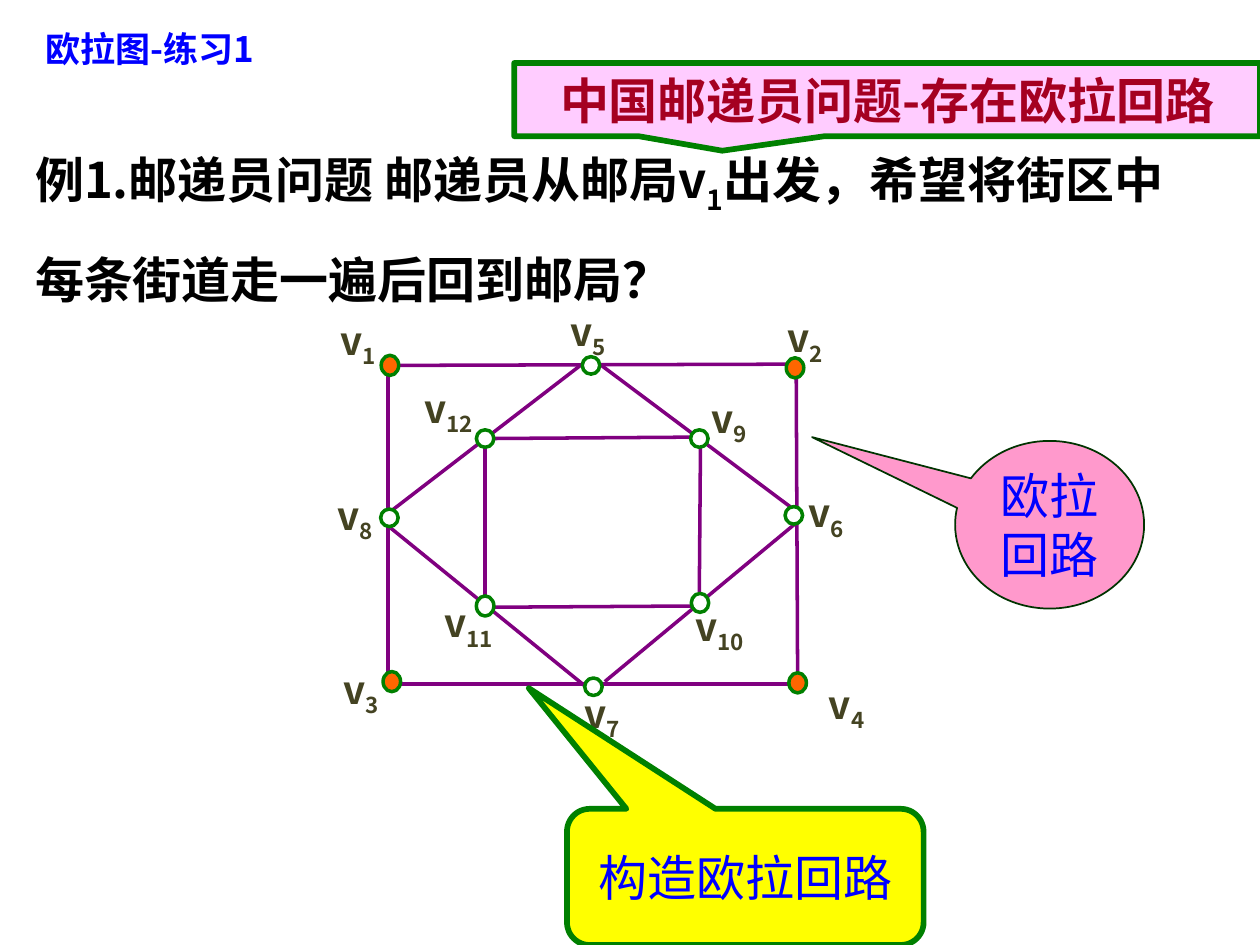
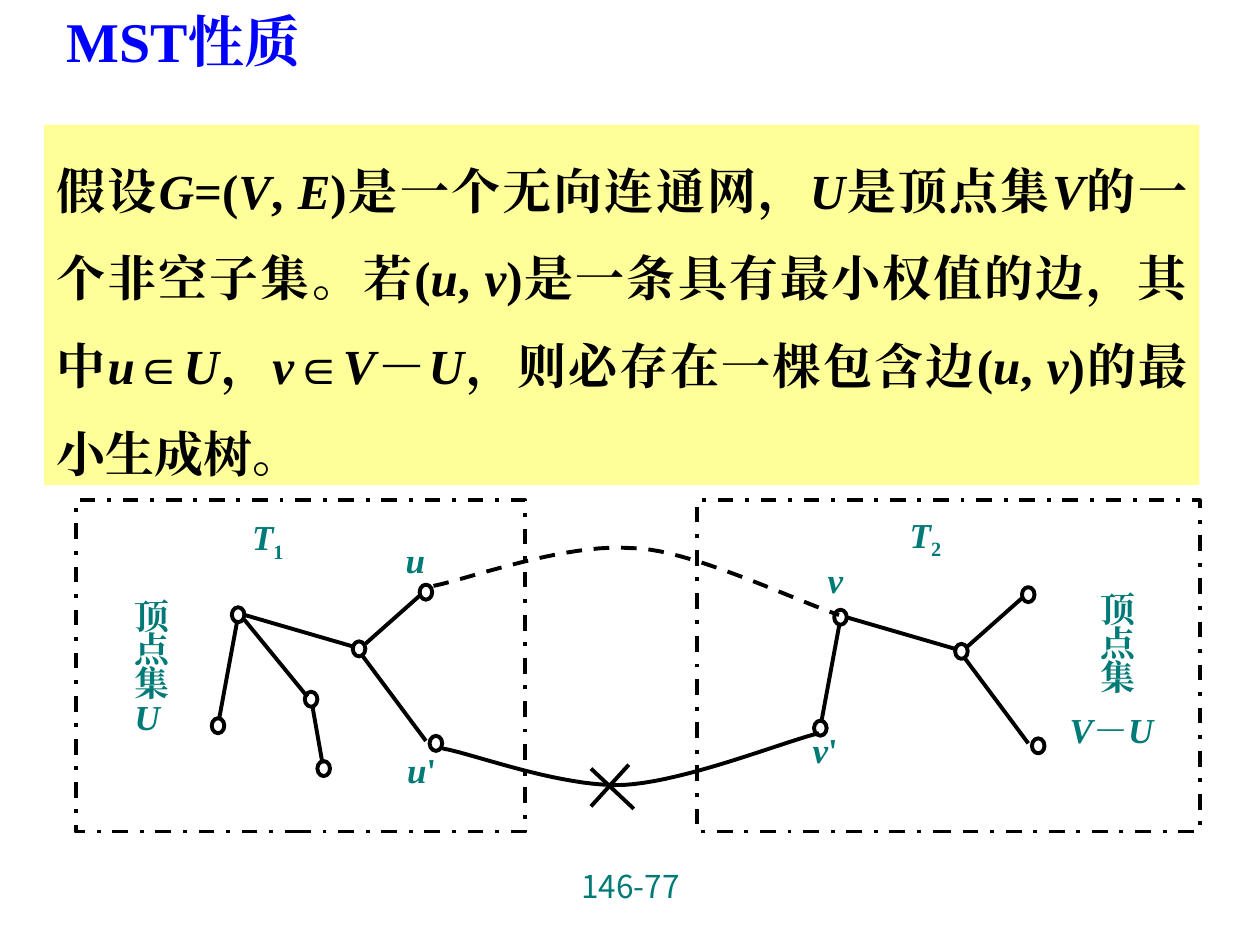
import pptx
import pptx.util
import pptx.dml.color
import pptx.enum.dml
import pptx.enum.shapes
import pptx.enum.text
from dataclasses import dataclass
from lxml import etree

Pt = pptx.util.Pt
RGB = pptx.dml.color.RGBColor.from_string
SHAPE = pptx.enum.shapes.MSO_SHAPE
STRAIGHT = pptx.enum.shapes.MSO_CONNECTOR.STRAIGHT
DASH = pptx.enum.dml.MSO_LINE
ALIGN = pptx.enum.text.PP_ALIGN
ANCHOR = pptx.enum.text.MSO_ANCHOR


@dataclass(frozen=True)
class Theme:
    # colours
    black: str = "000000"
    white: str = "FFFFFF"
    blue: str = "0000FF"
    green: str = "008000"
    dark_green: str = "003300"
    purple: str = "800080"
    orange: str = "FF6600"
    pink: str = "FF99CC"
    pale_pink: str = "FFCCFF"
    yellow: str = "FFFF00"
    pale_yellow: str = "FFFF99"
    # text styles: size, font, colour, bold
    small_title: tuple = (20, "Noto Sans CJK SC", "0000FF", True)
    big_title: tuple = (32, "Times New Roman", "0000FF", True)
    problem: tuple = (28, "Noto Sans CJK SC", "000000", True)
    banner: tuple = (28, "Noto Sans CJK SC", "A50021", True)
    callout: tuple = (28, "Arial", "0000FF", False)
    vertex: tuple = (22, "Noto Sans CJK SC", "444322", True)
    theorem: tuple = (28, "Times New Roman", "000000", True)
    tree: tuple = (20, "Times New Roman", "007A77", True)
    page: tuple = (18, "Noto Sans CJK JP", "007A77", False)


T = Theme()


def write(tf, markup, look, spacing=None, align=ALIGN.LEFT, inset=(7.2, 3.6),
          anchor=ANCHOR.TOP):
    """Fill a text frame; *...* marks italics and _..._ a subscript."""
    size, font, color, bold = look
    tf.word_wrap = True
    tf.auto_size = pptx.enum.text.MSO_AUTO_SIZE.NONE
    tf.vertical_anchor = anchor
    tf.margin_left = tf.margin_right = Pt(inset[0])
    tf.margin_top = tf.margin_bottom = Pt(inset[1])
    p = tf.paragraphs[0]
    p.alignment = align
    p.space_before = Pt(0)
    if spacing:
        p.line_spacing = spacing
    for i, chunk in enumerate(markup.split("*")):
        for j, text in enumerate(chunk.split("_")):
            if not text:
                continue
            r = p.add_run()
            r.text = text
            r.font.size, r.font.name = Pt(size), font
            r.font.bold, r.font.italic = bold, i % 2 == 1
            r.font.color.rgb = RGB(color)
            rPr = r._r.get_or_add_rPr()
            if j % 2:
                rPr.set("baseline", "-25000")
            ea = etree.SubElement(rPr, pptx.oxml.ns.qn("a:ea"))
            ea.set("typeface", font)


def style(sp, color, width, fill=None, dash=None):
    """Outline a shape or connector, fill it if asked, and drop its shadow."""
    sp.line.color.rgb = RGB(color)
    sp.line.width = Pt(width)
    if dash:
        sp.line.dash_style = dash
    if fill:
        sp.fill.solid()
        sp.fill.fore_color.rgb = RGB(fill)
    elif hasattr(sp, "fill"):
        sp.fill.background()
    etree.SubElement(sp._element.spPr, pptx.oxml.ns.qn("a:effectLst"))


prs = pptx.Presentation()
prs.slide_width, prs.slide_height = Pt(720), Pt(540)

titles = [
    ("欧拉图-练习1", T.small_title, (18.7, 12.2, 217.4, 31)),
    ("MST性质", T.big_title, (31, 0, 221.8, 45.4)),
]
for text, look, box in titles:
    s = prs.slides.add_slide(prs.slide_layouts[5])
    sp = s.shapes.title
    sp.left, sp.top, sp.width, sp.height = map(Pt, box)
    write(sp.text_frame, text, look)
euler, mst = prs.slides

# Slide 1: the postman problem
sp = euler.shapes.add_textbox(*map(Pt, (13, 67.7, 680, 104.4)))
write(sp.text_frame,
      "例1.邮递员问题 邮递员从邮局v_1_出发，希望将街区中每条街道走一遍后回到邮局？",
      T.problem, Pt(52.5))

streets = [
    # outer square
    (226, 208.8, 450.7, 208.1), (455, 215.3, 455.8, 387.4),
    (223.9, 391, 458.6, 391), (221.8, 212.4, 221.8, 390.2),
    # diamond
    (455, 298.8, 345.6, 389.5), (223.2, 301.7, 334.8, 392.4),
    (342.7, 208.1, 457.2, 293.8), (335.5, 205.9, 220.3, 294.5),
    # inner square
    (281.5, 347, 397.4, 346.3), (281.5, 250.6, 395.3, 249.8),
    (400.3, 254.2, 399.6, 338.4), (277.2, 256.3, 277.2, 341.3),
]
for ends in streets:
    style(euler.shapes.add_connector(STRAIGHT, *map(Pt, ends)), T.purple, 2)

# number: centre x, centre y, height, label left, label top
vertices = {
    1: (222.8, 208.8, 11.5, 187.2, 177.8),
    2: (454.3, 210.2, 11.5, 442.8, 176.4),
    3: (223.9, 389.5, 11.5, 189.4, 377.3),
    4: (455.8, 390.2, 11.5, 466.6, 385.9),
    5: (337.7, 208.8, 10, 319, 172.8),
    6: (453.6, 294.5, 10, 455, 276.5),
    7: (339.1, 392.4, 10, 326.9, 391),
    8: (222.5, 295.9, 10, 185.8, 277.9),
    9: (399.6, 250.6, 10, 399.6, 222.5),
    10: (400, 344.5, 10.8, 390.2, 341.3),
    11: (277.2, 346.3, 11.5, 247, 339.1),
    12: (277.2, 250.6, 10, 235.4, 216.7),
}
for n, (x, y, h, left, top) in vertices.items():
    sp = euler.shapes.add_shape(SHAPE.OVAL, Pt(x - 5), Pt(y - h / 2), Pt(10), Pt(h))
    style(sp, T.green, 2, T.orange if n <= 4 else T.white)
    sp = euler.shapes.add_textbox(Pt(left), Pt(top), Pt(40 if n < 10 else 50), Pt(31))
    write(sp.text_frame, f"v_{n}_", T.vertex, 0.9)

callouts = [
    (SHAPE.OVAL_CALLOUT, (545.8, 252, 108, 95.8), (-1.257, -0.523),
     T.pink, T.dark_green, 1, "欧拉回路", T.callout),
    (SHAPE.ROUNDED_RECTANGULAR_CALLOUT, (324, 462.2, 203.8, 77.8),
     (-0.607, -1.386, 0.167), T.yellow, T.green, 3.25, "构造欧拉回路", T.callout),
    (SHAPE.RECTANGULAR_CALLOUT, (293.8, 36, 426.2, 41.8), (-0.221, 0.699),
     T.pale_pink, T.green, 3.25, "中国邮递员问题-存在欧拉回路", T.banner),
]
for kind, box, tail, fill, line, width, text, look in callouts:
    sp = euler.shapes.add_shape(kind, *map(Pt, box))
    for i, value in enumerate(tail):
        sp.adjustments[i] = value
    style(sp, line, width, fill)
    write(sp.text_frame, text, look, align=ALIGN.CENTER, anchor=ANCHOR.MIDDLE)

# Slide 2: the property of minimum spanning trees
sp = mst.shapes.add_textbox(*map(Pt, (246.2, 491.8, 228.2, 37.4)))
write(sp.text_frame, "146-77", T.page, align=ALIGN.CENTER)

sp = mst.shapes.add_textbox(*map(Pt, (25.2, 71.3, 660.2, 205.9)))
sp.fill.solid()
sp.fill.fore_color.rgb = RGB(T.pale_yellow)
write(sp.text_frame,
      "假设*G*=(*V*, *E*)是一个无向连通网，*U*是顶点集*V*的一个非空子集。"
      "若(*u*, *v*)是一条具有最小权值的边，其中*u*∈*U*，*v*∈*V*－*U*，"
      "则必存在一棵包含边(*u*, *v*)的最小生成树。",
      T.theorem, Pt(50.25), ALIGN.JUSTIFY)

for left, width in [(43.2, 257), (398.2, 287.3)]:
    sp = mst.shapes.add_shape(SHAPE.RECTANGLE, *map(Pt, (left, 285.8, width, 189.4)))
    style(sp, T.black, 2.25, dash=DASH.DASH_DOT)

# Both trees share one form; the left one has an extra branch
nodes = [(132.5, 347), (121, 410.4), (201.6, 366.5), (239.8, 334.1), (245.5, 420.5)]
edges = [(139.7, 351.4, 201.6, 369.4), (135.4, 355.7, 125.3, 410.4),
         (240.5, 339.8, 208.8, 367.9), (207.4, 375.1, 243.4, 423.4)]
branch_nodes = [(174.2, 395.3), (181.4, 434.9)]
branch_edges = [(139.7, 354.2, 175.7, 398.2), (178.6, 403.9, 184.3, 436.3)]
trees = [(0, 0, nodes + branch_nodes, edges + branch_edges),
         (344.2, 1.4, nodes, edges)]
cross = [(337.7, 439.2, 362.2, 462.2), (359.3, 437, 337.7, 460.8)]
lines = list(cross)
for dx, dy, tree_nodes, tree_edges in trees:
    lines += [(a + dx, b + dy, c + dx, d + dy) for a, b, c, d in tree_edges]
    for x, y in tree_nodes:
        sp = mst.shapes.add_shape(SHAPE.OVAL, *map(Pt, (x + dx, y + dy, 7.2, 8.6)))
        style(sp, T.black, 2.25)
for ends in lines:
    style(mst.shapes.add_connector(STRAIGHT, *map(Pt, ends)), T.black, 2.25)

# Each curve is two cubic arcs, drawn in short steps
STEPS = 20
curves = [
    ([(252.7, 427.7), (270, 430.6), (320.4, 450), (356.4, 448.6),
      (392.4, 446.4), (445, 424.8), (468, 419)], None),
    ([(247.7, 334.8), (266.4, 331.2), (322.6, 310.3), (360.7, 313.2),
      (393.1, 313.2), (455, 343.4), (479.5, 351.4)], DASH.DASH),
]
for controls, dash in curves:
    points = []
    for start in (0, 3):
        arc = controls[start:start + 4]
        for step in range(1, STEPS + 1):
            t = step / STEPS
            weights = ((1 - t) ** 3, 3 * t * (1 - t) ** 2, 3 * t * t * (1 - t), t ** 3)
            points.append(tuple(Pt(sum(w * c[k] for w, c in zip(weights, arc)))
                                for k in (0, 1)))
    builder = mst.shapes.build_freeform(*map(Pt, controls[0]), scale=1.0)
    builder.add_line_segments(points, close=False)
    style(builder.convert_to_shape(), T.black, 2.25, dash=dash)

labels = [
    ("顶点集*U*", (77, 344.2, 24.5, 79.2), 0.8),
    ("顶点集", (628.6, 340.6, 20.2, 60.5), 0.8),
    ("*V*－*U*", (611.3, 403.9, 76.3, 24.5), 1.04),
    ("*u*", (231.8, 313.9, 20.2, 18), 0.72),
    ("*u*'", (232.6, 435.6, 21.6, 15.1), 0.64),
    ("*v*", (473, 325.4, 21.6, 16.6), 0.72),
    ("*v*'", (464.4, 422.6, 24.5, 18), 0.72),
    ("*T*_1_", (144, 298.8, 41.8, 18), 0.72),
    ("*T*_2_", (519.8, 297.4, 41, 18), 0.72),
]
for text, box, spacing in labels:
    sp = mst.shapes.add_textbox(*map(Pt, box))
    write(sp.text_frame, text, T.tree, spacing, inset=(0, 0))

prs.save("out.pptx")
